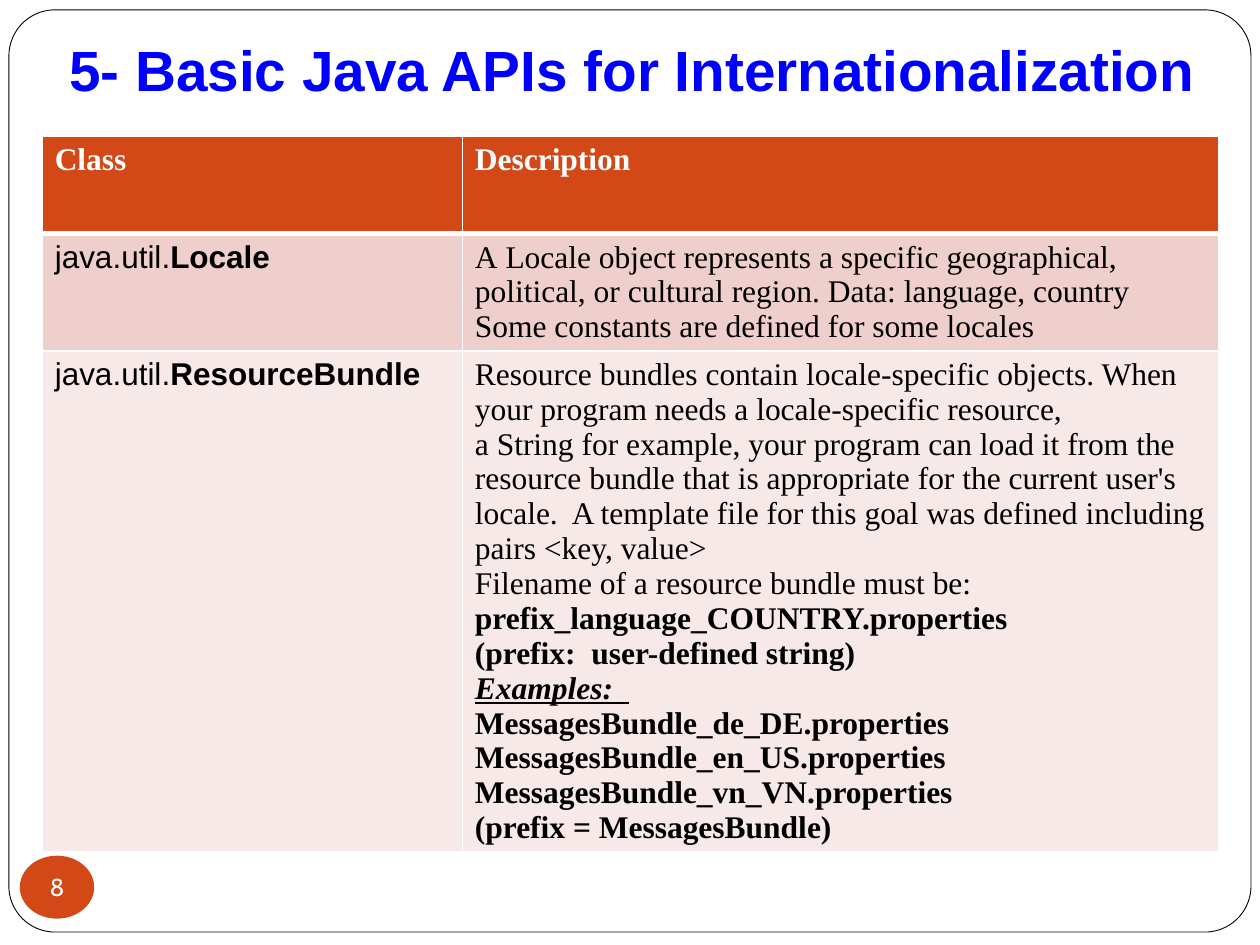
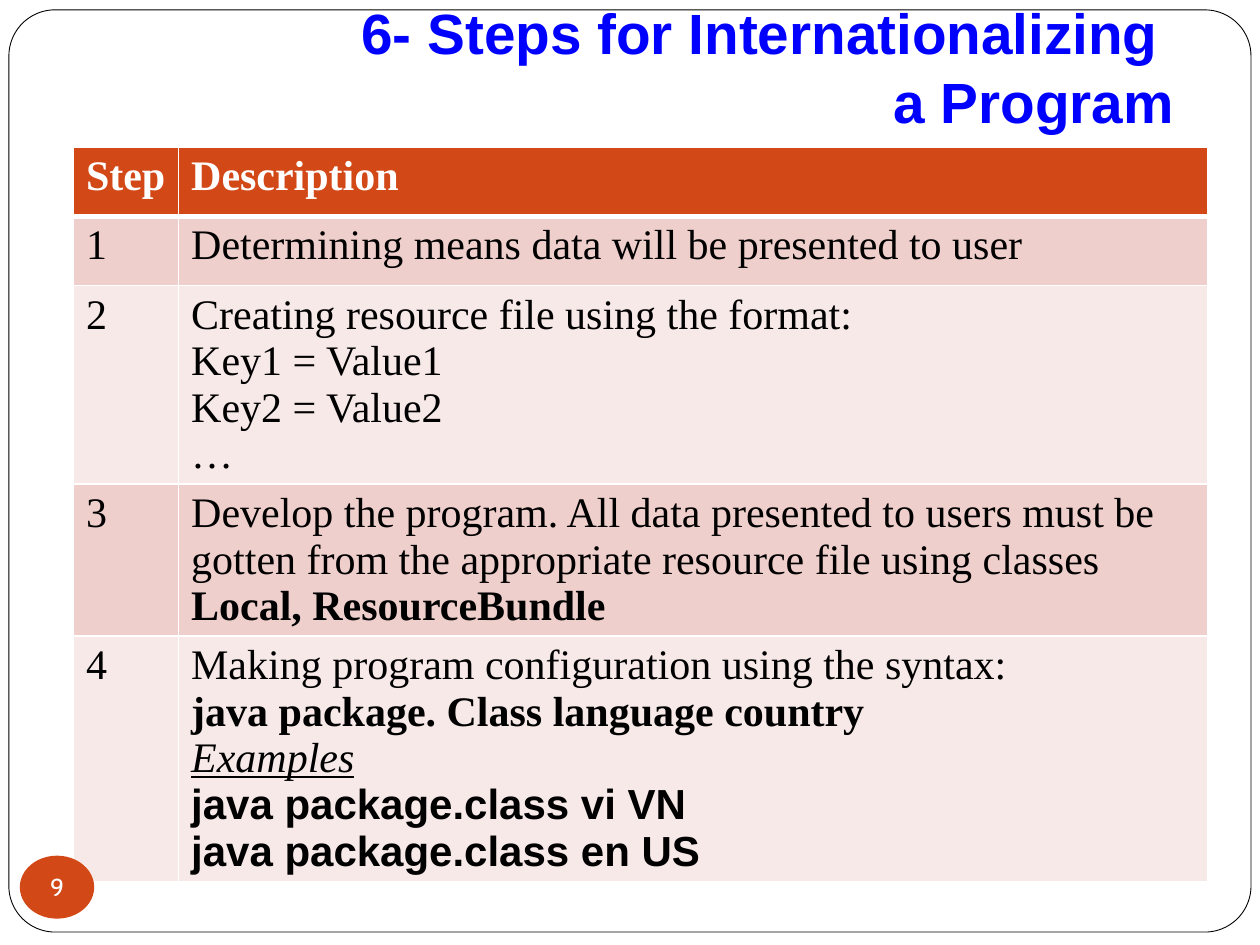
from pptx import Presentation
from pptx.dml.color import RGBColor
from pptx.enum.shapes import MSO_SHAPE
from pptx.enum.text import MSO_ANCHOR, MSO_AUTO_SIZE, PP_ALIGN
from pptx.oxml.ns import qn
from pptx.util import Cm, Pt
from lxml.etree import SubElement

COLORS = {
    "white": "FFFFFF",
    "black": "000000",
    "title": "0000FF",
    "accent": "D34817",
    "band_dark": "EFCFCC",
    "band_light": "F7E9E8",
}
TITLE_FONT, TABLE_FONT, NUMBER_FONT = "Arial", "Times New Roman", "Cabin"
NBSP = chr(160)  # keeps class names on the line of their neighbours

# Run styles: b bold, i italic, u underlined, a Arial
slides = [
    {
        "number": "8",
        "title": "5- Basic Java APIs for Internationalization",
        "title_box": (0.42, 0.43, 23.92, 1.9),
        "table_at": (0.85, 2.75),
        "columns": (8.47, 15.24),
        "heights": (1.96, 2.36, 10.08),
        "size": 18,
        "rows": [
            [[[("Class", "b")]], [[("Description", "b")]]],
            [
                [[("java.util.", "a"), ("Locale", "ab")]],
                [
                    [(f"A{NBSP}Locale{NBSP}object represents a specific geographical, "
                      "political, or cultural region. Data: language, country", "")],
                    [("Some constants are defined for some locales", "")],
                ],
            ],
            [
                [[("java.util.", "a"), ("ResourceBundle", "ab")]],
                [
                    [("Resource bundles contain locale-specific objects. When your program "
                      f"needs a locale-specific resource, a{NBSP}String{NBSP}for example, "
                      "your program can load it from the resource bundle that is "
                      "appropriate for the current user's locale.  A template file for "
                      "this goal was defined including pairs <key, value>", "")],
                    [("Filename of a resource bundle must be:", "")],
                    [("prefix_language_COUNTRY.properties", "b")],
                    [("(prefix:  user-defined string)", "b")],
                    [("Examples:  ", "biu")],
                    [("MessagesBundle_de_DE.properties", "b")],
                    [("MessagesBundle_en_US.properties", "b")],
                    [("MessagesBundle_vn_VN.properties", "b")],
                    [("(prefix = MessagesBundle)", "b")],
                ],
            ],
        ],
    },
    {
        "number": "9",
        "title": "6- Steps for Internationalizing \va Program",
        "title_box": (2.54, 0, 21.38, 2.96),
        "table_at": (1.48, 2.96),
        "columns": (2.12, 20.74),
        "heights": (1.4, 1.4, 4, 3.03, 4.94),
        "size": 24,
        "rows": [
            [[[("Step", "b")]], [[("Description", "b")]]],
            [[[("1", "")]], [[("Determining means data will be presented to user", "")]]],
            [
                [[("2", "")]],
                [
                    [("Creating resource file using the format:", "")],
                    [("Key1 = Value1", "")],
                    [("Key2 = Value2", "")],
                    [("…", "")],
                ],
            ],
            [
                [[("3", "")]],
                [[("Develop the program. All data presented to users must be gotten from "
                   "the appropriate resource file using classes ", ""),
                  ("Local, ResourceBundle", "b")]],
            ],
            [
                [[("4", "")]],
                [
                    [("Making program configuration using the syntax:", "")],
                    [("java package. Class language country", "b")],
                    [("Examples", "iu")],
                    [("java package.class vi VN", "ab")],
                    [("java package.class en US", "ab")],
                ],
            ],
        ],
    },
]


def format_run(run, font, size, color, style=""):
    run.font.name = font
    run.font.size = Pt(size)
    run.font.color.rgb = RGBColor.from_string(COLORS[color])
    run.font.bold = "b" in style
    run.font.italic = "i" in style
    run.font.underline = "u" in style


def set_borders(cell, row):
    """White cell borders, thicker under the header row; call before filling."""
    widths = {"L": 1, "R": 1, "T": 3 if row == 1 else 1, "B": 3 if row == 0 else 1}
    for side, width in widths.items():
        border = SubElement(cell._tc.get_or_add_tcPr(), qn(f"a:ln{side}"), w=str(Pt(width)))
        SubElement(SubElement(border, qn("a:solidFill")), qn("a:srgbClr"), val=COLORS["white"])


prs = Presentation()
prs.slide_width, prs.slide_height = Cm(25.4), Cm(19.05)

for content in slides:
    slide = prs.slides.add_slide(prs.slide_layouts[5])

    # Rounded page frame
    frame = slide.shapes.add_shape(
        MSO_SHAPE.ROUNDED_RECTANGLE, Cm(0.18), Cm(0.2), Cm(25.04), Cm(18.59))
    frame.adjustments[0] = 0.05
    frame.shadow.inherit = False
    frame.fill.solid()
    frame.fill.fore_color.rgb = RGBColor.from_string(COLORS["white"])
    frame.line.color.rgb = RGBColor.from_string(COLORS["black"])
    frame.line.width = Pt(0.5)

    # Table
    rows, columns, heights = content["rows"], content["columns"], content["heights"]
    left, top = content["table_at"]
    table = slide.shapes.add_table(
        len(rows), len(columns), Cm(left), Cm(top), Cm(sum(columns)), Cm(sum(heights))).table
    for column, width in zip(table.columns, columns):
        column.width = Cm(width)
    for r, (row, height) in enumerate(zip(rows, heights)):
        table.rows[r].height = Cm(height)
        band = "accent" if r == 0 else ("band_light", "band_dark")[r % 2]
        text_color = "white" if r == 0 else "black"
        for c, paragraphs in enumerate(row):
            cell = table.cell(r, c)
            set_borders(cell, r)
            cell.fill.solid()
            cell.fill.fore_color.rgb = RGBColor.from_string(COLORS[band])
            cell.text_frame.text = "\n".join(runs[0][0] for runs in paragraphs)
            for paragraph, runs in zip(cell.text_frame.paragraphs, paragraphs):
                for text, _ in runs[1:]:
                    paragraph.add_run().text = text
                for run, (_, style) in zip(paragraph.runs, runs):
                    font = TITLE_FONT if "a" in style else TABLE_FONT
                    format_run(run, font, content["size"], text_color, style)

    # Title, brought in front of the frame
    title = slide.shapes.title
    slide.shapes._spTree.append(title._element)
    title.left, title.top, title.width, title.height = map(Cm, content["title_box"])
    heading = title.text_frame
    heading.text = content["title"]
    heading.word_wrap = True
    heading.auto_size = MSO_AUTO_SIZE.NONE
    heading.vertical_anchor = MSO_ANCHOR.BOTTOM
    heading.margin_left = heading.margin_right = heading.margin_bottom = Cm(0.25)
    heading.margin_top = Cm(0.13)
    heading.paragraphs[0].alignment = PP_ALIGN.RIGHT
    for run in heading.paragraphs[0].runs:
        format_run(run, TITLE_FONT, 32.4, "title", "b")

    # Page number badge
    badge = slide.shapes.add_shape(MSO_SHAPE.OVAL, Cm(0.4), Cm(17.25), Cm(1.5), Cm(1.27))
    badge.shadow.inherit = False
    badge.fill.solid()
    badge.fill.fore_color.rgb = RGBColor.from_string(COLORS["accent"])
    badge.line.fill.background()
    number = badge.text_frame
    number.text = content["number"]
    number.word_wrap = False
    number.vertical_anchor = MSO_ANCHOR.MIDDLE
    number.margin_left = number.margin_right = number.margin_top = number.margin_bottom = 0
    number.paragraphs[0].alignment = PP_ALIGN.CENTER
    format_run(number.paragraphs[0].runs[0], NUMBER_FONT, 14, "white")

prs.save("out.pptx")
